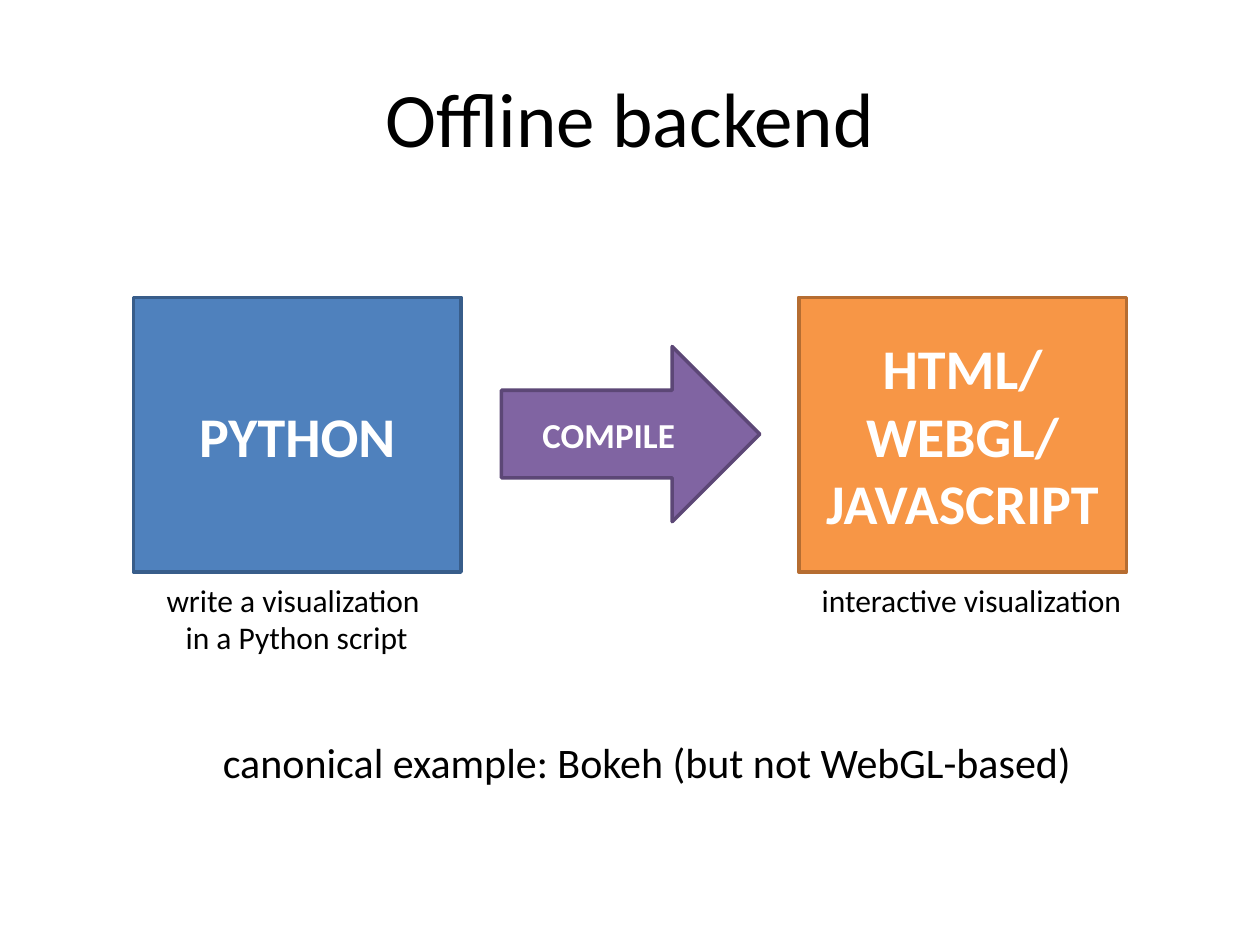
"""Build the offline backend slide: Python compiled into an interactive page."""
from dataclasses import dataclass

from pptx import Presentation
from pptx.dml.color import RGBColor
from pptx.enum.shapes import MSO_SHAPE
from pptx.enum.text import MSO_ANCHOR, MSO_AUTO_SIZE, PP_ALIGN
from pptx.slide import Slide
from pptx.text.text import TextFrame
from pptx.util import Inches, Pt


@dataclass(frozen=True)
class Theme:
    font: str = "Calibri"
    text: str = "000000"
    inverse: str = "FFFFFF"
    blue: str = "4F81BD"
    blue_line: str = "385D8A"
    orange: str = "F79646"
    orange_line: str = "B66D31"
    purple: str = "8064A2"
    purple_line: str = "5C4776"
    title_size: int = 44
    block_size: int = 32
    note_size: int = 24
    arrow_size: int = 20
    caption_size: int = 18
    line_width: int = 2


@dataclass(frozen=True)
class Box:
    left: float
    top: float
    width: float
    height: float

    def lengths(self) -> tuple[Inches, Inches, Inches, Inches]:
        return (Inches(self.left), Inches(self.top),
                Inches(self.width), Inches(self.height))


@dataclass(frozen=True)
class Block:
    kind: MSO_SHAPE
    box: Box
    fill: str
    line: str
    size: int
    lines: tuple[str, ...]


@dataclass(frozen=True)
class Label:
    box: Box
    size: int
    lines: tuple[str, ...]


THEME = Theme()
BLOCK_TOP, BLOCK_WIDTH, BLOCK_HEIGHT = 2.36, 2.6, 2.18
CAPTION_TOP = 4.56

BLOCKS = (
    Block(MSO_SHAPE.RECTANGLE, Box(1.06, BLOCK_TOP, BLOCK_WIDTH, BLOCK_HEIGHT),
          THEME.blue, THEME.blue_line, THEME.block_size, ("PYTHON",)),
    Block(MSO_SHAPE.RECTANGLE, Box(6.34, BLOCK_TOP, BLOCK_WIDTH, BLOCK_HEIGHT),
          THEME.orange, THEME.orange_line, THEME.block_size,
          ("HTML/", "WEBGL/", "JAVASCRIPT")),
    Block(MSO_SHAPE.RIGHT_ARROW, Box(3.98, 2.75, 2.05, 1.39),
          THEME.purple, THEME.purple_line, THEME.arrow_size, ("COMPILE",)),
)
LABELS = (
    Label(Box(6.41, CAPTION_TOP, 2.6, 0.4), THEME.caption_size,
          ("interactive visualization",)),
    Label(Box(1.22, CAPTION_TOP, 2.27, 0.7), THEME.caption_size,
          ("write a visualization ", "in a Python script")),
    Label(Box(1.65, 5.8, 6.97, 0.5), THEME.note_size,
          ("canonical example: Bokeh (but not WebGL-based)",)),
)


def write_lines(frame: TextFrame, lines: tuple[str, ...], size: int,
                color: str, bold: bool = False) -> None:
    """Fill a text frame with centred paragraphs of one style."""
    frame.text = "\n".join(lines)
    for paragraph in frame.paragraphs:
        paragraph.alignment = PP_ALIGN.CENTER
        paragraph.font.name = THEME.font
        paragraph.font.size = Pt(size)
        paragraph.font.bold = bold
        paragraph.font.color.rgb = RGBColor.from_string(color)


def set_title(slide: Slide, text: str) -> None:
    """Place and format the title placeholder."""
    title = slide.shapes.title
    title.left, title.top, title.width, title.height = Box(0.5, 0.3, 9, 1.25).lengths()
    title.text_frame.vertical_anchor = MSO_ANCHOR.MIDDLE
    write_lines(title.text_frame, (text,), THEME.title_size, THEME.text)


def draw_block(slide: Slide, block: Block) -> None:
    """Draw a filled shape with bold text."""
    shape = slide.shapes.add_shape(block.kind, *block.box.lengths())
    shape.shadow.inherit = False
    shape.fill.solid()
    shape.fill.fore_color.rgb = RGBColor.from_string(block.fill)
    shape.line.color.rgb = RGBColor.from_string(block.line)
    shape.line.width = Pt(THEME.line_width)
    shape.text_frame.vertical_anchor = MSO_ANCHOR.MIDDLE
    write_lines(shape.text_frame, block.lines, block.size, THEME.inverse, bold=True)


def draw_label(slide: Slide, label: Label) -> None:
    """Draw an unwrapped text box that fits its text."""
    frame = slide.shapes.add_textbox(*label.box.lengths()).text_frame
    frame.word_wrap = False
    frame.auto_size = MSO_AUTO_SIZE.SHAPE_TO_FIT_TEXT
    write_lines(frame, label.lines, label.size, THEME.text)


def main() -> None:
    """Build and save the presentation."""
    presentation = Presentation()
    presentation.slide_width = Inches(10)
    presentation.slide_height = Inches(7.5)
    slide = presentation.slides.add_slide(
        presentation.slide_layouts.get_by_name("Title Only"))
    set_title(slide, "Offline backend")
    for block in BLOCKS:
        draw_block(slide, block)
    for label in LABELS:
        draw_label(slide, label)
    presentation.save("out.pptx")


if __name__ == "__main__":
    main()
